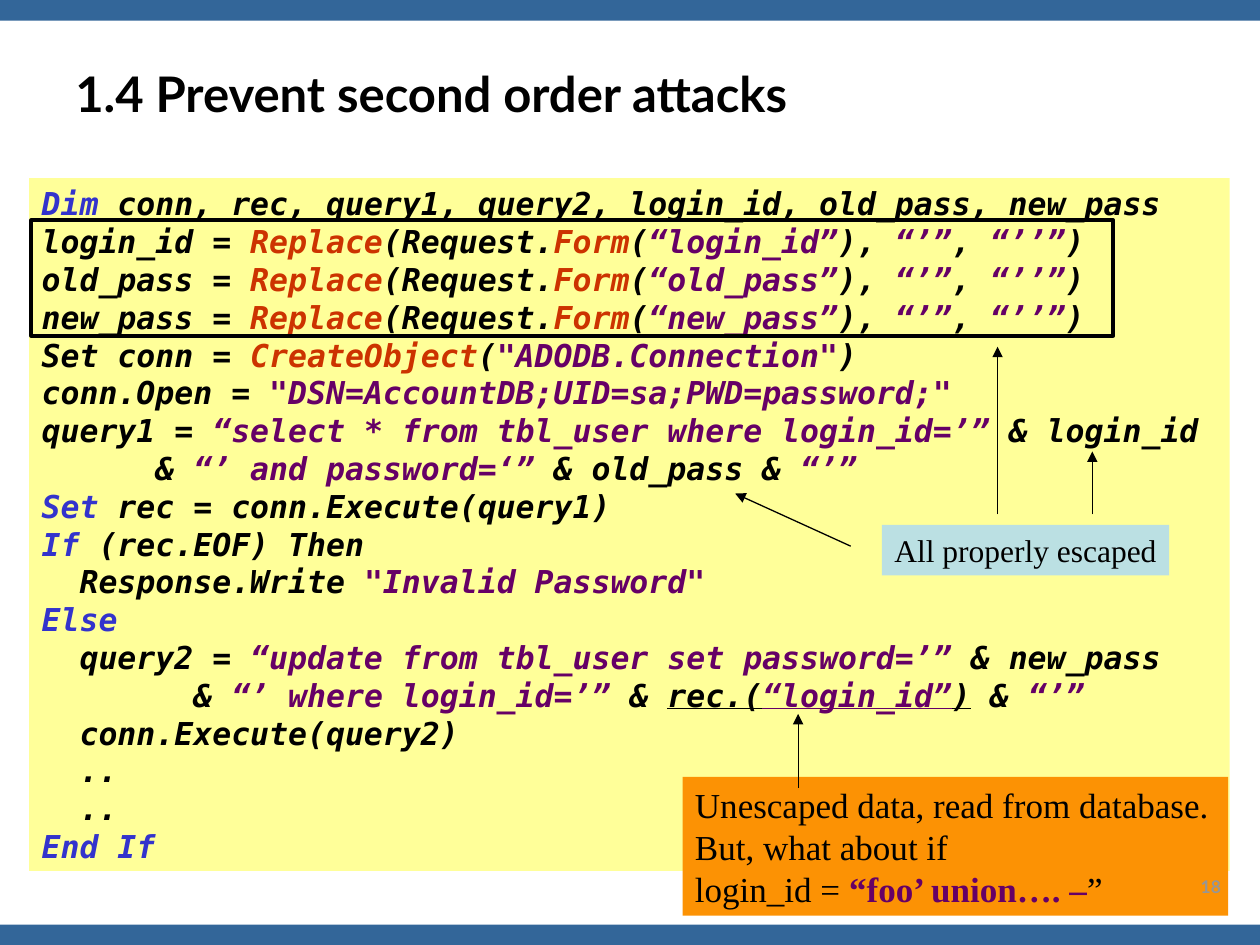
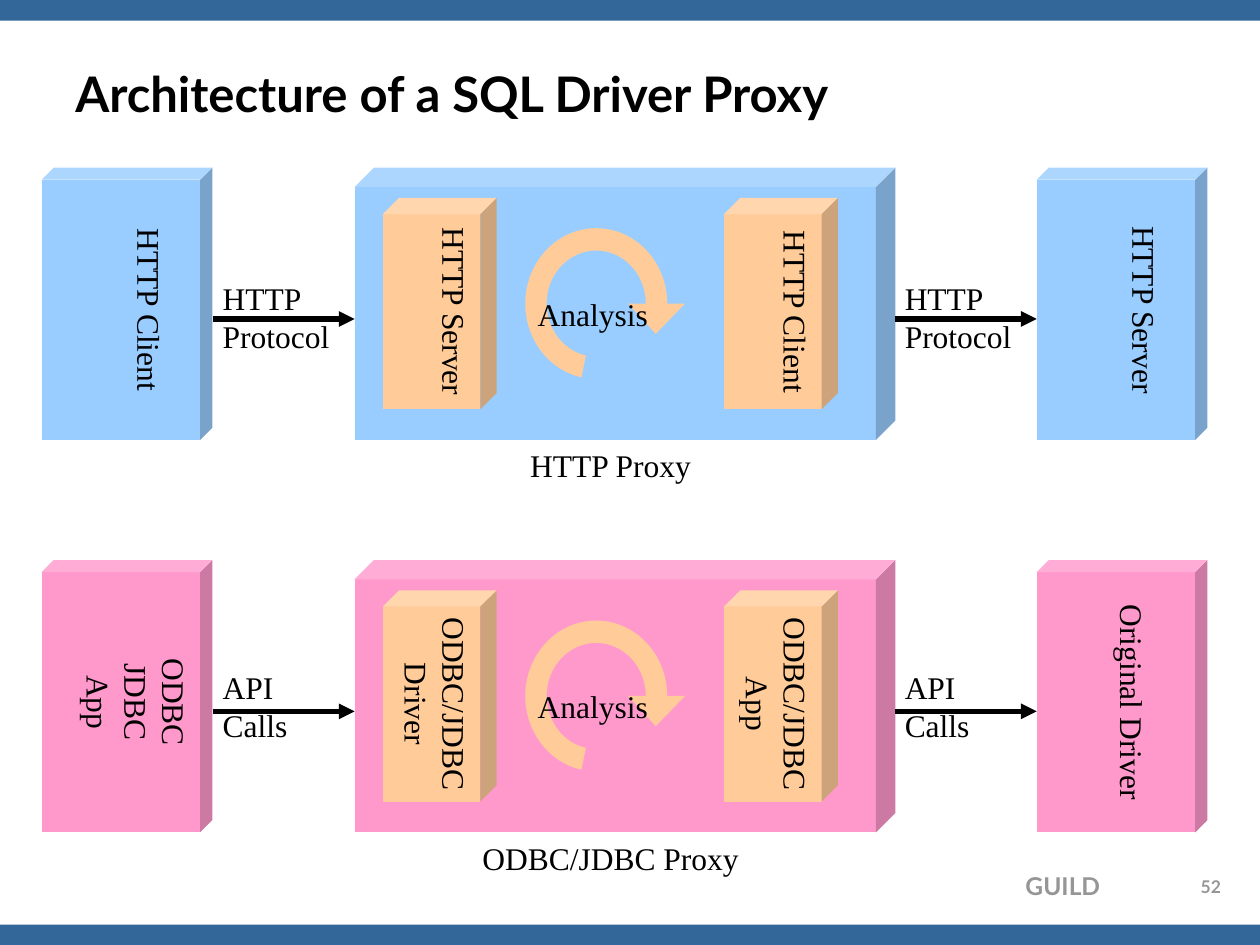
"""Builds two slides on SQL injection: second order attacks and a driver proxy."""
import math
from dataclasses import dataclass

from lxml import etree
from pptx import Presentation
from pptx import util as u
from pptx.dml.color import RGBColor
from pptx.enum import shapes, text
from pptx.oxml import ns


@dataclass(frozen=True)
class Theme:
    """Colours, fonts and type sizes shared by the slides."""
    band: str = "336699"
    ink: str = "000000"
    muted: str = "969696"
    code_fill: str = "FFFF99"
    keyword: str = "3333CC"
    call: str = "CC3300"
    literal: str = "660066"
    safe: str = "BBE0E3"
    danger: str = "FC9204"
    http: str = "99CCFF"
    odbc: str = "FF99CC"
    module: str = "FFCC99"
    title_font: str = "Lato"
    body_font: str = "Times New Roman"
    code_font: str = "DejaVu Sans Mono"
    title_size: int = 28
    warning_size: int = 20
    body_size: int = 18
    footer_size: int = 14
    number_size: int = 10


THEME = Theme()
LEFT, CENTER, RIGHT = text.PP_ALIGN.LEFT, text.PP_ALIGN.CENTER, text.PP_ALIGN.RIGHT
RECT, CUBE = shapes.MSO_SHAPE.RECTANGLE, shapes.MSO_SHAPE.CUBE

MARKS = {
    "k": {"color": THEME.keyword},
    "c": {"color": THEME.call},
    "s": {"color": THEME.literal},
    "u": {"underline": True},
    "v": {"color": THEME.literal, "underline": True},
}

ESCAPED_INPUT = "{0} = |c:Replace|(Request.|c:Form|(|s:“{0}”|), |s:“’”|, |s:“’’”|)"
CODE = [
    "|k:Dim| conn, rec, query1, query2, login_id, old_pass, new_pass",
    *(ESCAPED_INPUT.format(field) for field in ("login_id", "old_pass", "new_pass")),
    'Set conn = |c:CreateObject|(|s:"ADODB.Connection"|)',
    'conn.Open = |s:"DSN=AccountDB;UID=sa;PWD=password;"|',
    "query1 = |s:“select * from tbl_user where login_id=’”| & login_id",
    "      & |s:“’ and password=‘”| & old_pass & |s:“’”|",
    "|k:Set| rec = conn.Execute(query1)",
    "|k:If| (rec.EOF) Then",
    '  Response.Write |s:"Invalid Password"|',
    "|k:Else|",
    "  query2 = |s:“update from tbl_user set password=’”| & new_pass",
    "        & |s:“’ where login_id=’”| & |u:rec.(||v:“login_id”||u:)| & |s:“’”|",
    "  conn.Execute(query2)",
    "  ..",
    "  ..",
    "|k:End If|",
]


@dataclass(frozen=True)
class ProxyRow:
    """One row of the proxy architecture."""
    top: float
    fill: str
    client: str
    server: str
    client_inset: float
    server_inset: float
    inner: tuple
    inner_inset: float
    caption: str
    protocol: tuple
    protocol_drop: float


ROWS = [
    ProxyRow(3.38, THEME.http, "HTTP Client", "HTTP Server", 0.63, 0.63,
             ("HTTP Server", "HTTP Client"), 0.25,
             "HTTP Proxy", ("HTTP", "Protocol"), 2.12),
    ProxyRow(11.29, THEME.odbc, "ODBC\nJDBC\nApp", "Original Driver", 0.13, 0.88,
             ("ODBC/JDBC Driver", "ODBC/JDBC App"), 0.15,
             "ODBC/JDBC Proxy", ("API", "Calls"), 2.05),
]


def rgb(value):
    """Return a colour from its hex string."""
    return RGBColor.from_string(value)


def parse_marks(line):
    """Split a marked code line into runs of text and format."""
    runs = []
    for index, part in enumerate(line.split("|")):
        if index % 2:
            runs.append((part[2:], MARKS[part[0]]))
        elif part:
            runs.append((part, {}))
    return runs


def add_run(paragraph, words, size, font, color, bold=False, italic=False,
            underline=False):
    """Append formatted text, turning newlines into line breaks."""
    for index, piece in enumerate(words.split("\n")):
        if index:
            paragraph.add_line_break()
        if not piece:
            continue
        run = paragraph.add_run()
        run.text = piece
        run.font.size = u.Pt(size)
        run.font.name = font
        run.font.bold = bold
        run.font.italic = italic
        run.font.underline = underline
        run.font.color.rgb = rgb(color)


def write(holder, paragraphs, align=LEFT, anchor=text.MSO_ANCHOR.TOP, wrap=True,
          insets=(0.25, 0.13, 0.25, 0.13), vertical=False, **style):
    """Fill a shape with paragraphs, each a string or a list of runs."""
    frame = holder.text_frame
    frame.word_wrap = wrap
    frame.vertical_anchor = anchor
    (frame.margin_left, frame.margin_top,
     frame.margin_right, frame.margin_bottom) = map(u.Cm, insets)
    if vertical:
        frame._txBody.bodyPr.set("vert", "eaVert")
        frame._txBody.bodyPr.set("anchorCtr", "1")
    base = {"size": THEME.body_size, "font": THEME.body_font, "color": THEME.ink}
    base.update(style)
    for index, content in enumerate(paragraphs):
        paragraph = frame.add_paragraph() if index else frame.paragraphs[0]
        paragraph.alignment = align
        runs = [(content, {})] if isinstance(content, str) else content
        for words, change in runs:
            add_run(paragraph, words, **{**base, **change})


def label(slide, box, *paragraphs, **style):
    """Add a text box."""
    write(slide.shapes.add_textbox(*map(u.Cm, box)), paragraphs, **style)


def paint(shape, fill=None, line=None, width=0):
    """Set fill and outline and drop the shadow."""
    shape.shadow.inherit = False
    if fill:
        shape.fill.solid()
        shape.fill.fore_color.rgb = rgb(fill)
    else:
        shape.fill.background()
    if line:
        shape.line.color.rgb = rgb(line)
        shape.line.width = u.Pt(width)
    else:
        shape.line.fill.background()
    return shape


def panel(slide, box, kind=RECT, **look):
    """Add a painted preset shape."""
    return paint(slide.shapes.add_shape(kind, *map(u.Cm, box)), **look)


def arrow(slide, start, end, width=0.75):
    """Add a straight arrow."""
    link = slide.shapes.add_connector(
        shapes.MSO_CONNECTOR.STRAIGHT, *map(u.Cm, (*start, *end)))
    link.line.color.rgb = rgb(THEME.ink)
    link.line.width = u.Pt(width)
    head = etree.SubElement(link.line._get_or_add_ln(), ns.qn("a:tailEnd"))
    head.set("type", "triangle")
    etree.SubElement(link._element.spPr, ns.qn("a:effectLst"))


def cube(slide, box, fill, depth, words=None, right_inset=0.13, end_inset=0.25):
    """Add a cube, with vertical text on its face if given."""
    block = panel(slide, box, CUBE, fill=fill)
    block.adjustments[0] = depth
    if words:
        write(block, [words], align=CENTER, vertical=True,
              insets=(0.13, end_inset, right_inset, end_inset))


def arc_points(center_x, center_y, radius_x, radius_y, stops=(0, 90, 180, 258)):
    """Return the Bezier points of an anticlockwise elliptic arc."""
    def place(angle, pull=0):
        cosine, sine = math.cos(angle), math.sin(angle)
        return (center_x + radius_x * (cosine - pull * sine),
                center_y - radius_y * (sine + pull * cosine))

    angles = [math.radians(stop) for stop in stops]
    points = [place(angles[0])]
    for first, last in zip(angles, angles[1:]):
        pull = 4 / 3 * math.tan((last - first) / 4)
        points += [place(first, pull), place(last, -pull), place(last)]
    return points


def bend(shape, starts):
    """Turn each three line segments from the given starts into a curve."""
    segments = list(shape._element.iter(ns.qn("a:lnTo")))
    for start in starts:
        curve = etree.Element(ns.qn("a:cubicBezTo"))
        segments[start].addprevious(curve)
        for segment in segments[start:start + 3]:
            curve.append(segment[0])
            segment.getparent().remove(segment)


def analysis_loop(slide, center_x, center_y):
    """Draw the open ring with an arrowhead around the analysis step."""
    inner = arc_points(center_x, center_y, 1, 1.07)
    outer = arc_points(center_x, center_y, 1.43, 1.52)[::-1]
    head = [(center_x + 1.79, center_y), (center_x + 1.2, center_y + 0.61),
            (center_x + 0.64, center_y)]
    points = [(u.Cm(x), u.Cm(y)) for x, y in inner + outer + head]
    builder = slide.shapes.build_freeform(*points[0])
    builder.add_line_segments(points[1:])
    loop = paint(builder.convert_to_shape(), fill=THEME.module)
    bend(loop, (0, 3, 6, 10, 13, 16))


def start_slide(deck, title):
    """Add a blank slide with bands and title."""
    slide = deck.slides.add_slide(deck.slide_layouts[6])
    for top in (0, 18.64):
        panel(slide, (0, top, 25.4, 0.42), fill=THEME.band)
    label(slide, (1.27, 0.76, 22.86, 2.21), title, anchor=text.MSO_ANCHOR.MIDDLE,
          size=THEME.title_size, font=THEME.title_font, bold=True)
    return slide


def page_number(slide, number):
    """Add the slide number."""
    label(slide, (23.85, 17.53, 1.12, 0.64), number, align=CENTER, bold=True,
          size=THEME.number_size, font=THEME.title_font, color=THEME.muted)


def second_order_slide(deck):
    """Build the annotated code slide."""
    slide = start_slide(deck, "1.4 Prevent second order attacks")
    listing = panel(slide, (0.59, 3.59, 24.2, 13.97), fill=THEME.code_fill)
    runs = []
    for index, line in enumerate(CODE):
        runs += [("\n", {})] * (index > 0) + parse_marks(line)
    write(listing, [runs], font=THEME.code_font, bold=True, italic=True)

    warning = panel(slide, (13.76, 15.66, 11, 2.8), fill=THEME.danger)
    write(warning, [
        "Unescaped data, read from database.",
        "But, what about if",
        [("login_id = ", {}),
         ("“foo’ union…. –", {"color": THEME.literal, "bold": True}), ("”", {})],
    ], size=THEME.warning_size)
    panel(slide, (0.63, 4.44, 21.81, 2.33), line=THEME.ink, width=2.25)
    escaped = panel(slide, (17.78, 10.58, 5.79, 1.02), fill=THEME.safe)
    write(escaped, ["All properly escaped"], wrap=False)

    for start, end in [((16.09, 15.88), (16.09, 14.39)),
                       ((22.02, 10.37), (22.02, 9.1)),
                       ((17.15, 11.01), (14.82, 9.95)),
                       ((20.11, 10.37), (20.11, 6.99))]:
        arrow(slide, start, end)
    page_number(slide, "18")


def proxy_row(slide, row):
    """Draw client, proxy and server of one row with their links."""
    top = row.top
    cube(slide, (0.84, top, 3.44, 5.49), row.fill, 0.071, row.client, row.client_inset)
    cube(slide, (7.15, top, 10.9, 5.49), row.fill, 0.071)
    cube(slide, (20.9, top, 3.44, 5.49), row.fill, 0.071, row.server, row.server_inset)
    for left, words in zip((7.72, 14.6), row.inner):
        cube(slide, (left, top + 0.61, 2.29, 4.26), THEME.module, 0.142, words,
             end_inset=row.inner_inset)
    analysis_loop(slide, 12.02, top + 2.74)
    label(slide, (10.59, top + 2.44, 3.43, 1.22), "Analysis")
    for start, end in ((4.29, 7.15), (18.04, 20.9)):
        arrow(slide, (start, top + 3.05), (end, top + 3.05), width=3)
        label(slide, (start - 0.05, top + row.protocol_drop, 4.57, 4.88), *row.protocol)
    label(slide, (8.87, top + 5.49, 6.88, 1.22), row.caption, align=CENTER)


def proxy_slide(deck):
    """Build the proxy architecture slide."""
    slide = start_slide(deck, "Architecture of a SQL Driver Proxy")
    label(slide, (15.8, 17.42, 6.63, 0.86), "GUILD", align=RIGHT, bold=True,
          size=THEME.footer_size, font=THEME.title_font, color=THEME.muted)
    for row in ROWS:
        proxy_row(slide, row)
    page_number(slide, "52")


def main():
    """Build and save the deck."""
    deck = Presentation()
    deck.slide_width, deck.slide_height = u.Cm(25.4), u.Cm(19.05)
    second_order_slide(deck)
    proxy_slide(deck)
    deck.save("out.pptx")


if __name__ == "__main__":
    main()
